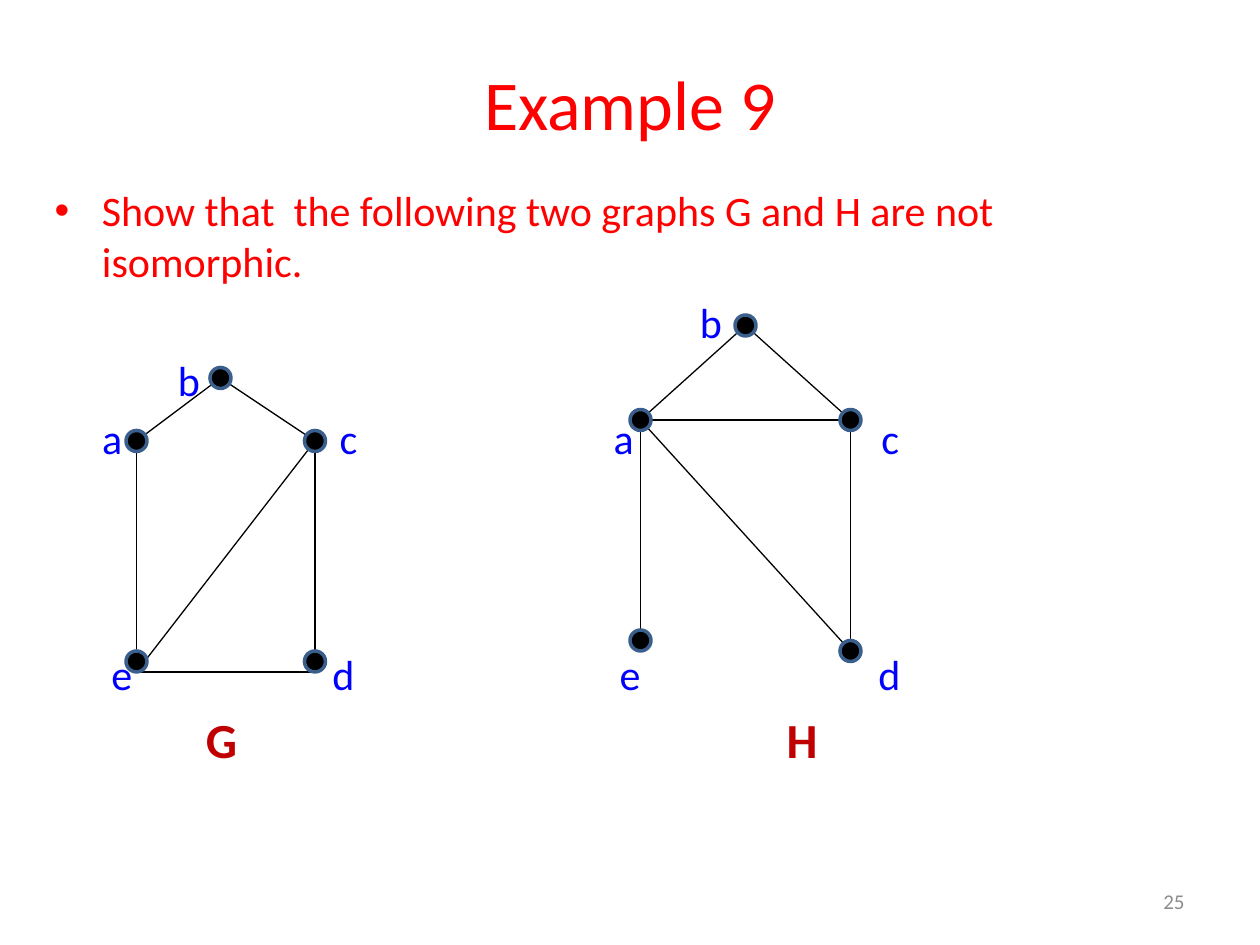
import dataclasses

import pptx
import pptx.dml.color
import pptx.enum.shapes
import pptx.enum.text
import pptx.oxml
import pptx.oxml.ns
import pptx.util

ALIGN = pptx.enum.text.PP_ALIGN


@dataclasses.dataclass
class Theme:
    font: str = "Calibri"
    red: str = "FF0000"
    blue: str = "0000FF"
    dark_red: str = "C00000"
    grey: str = "8C8C8C"
    black: str = "000000"
    rim: str = "3A5F8C"
    title_size: int = 40
    body_size: int = 24
    name_size: int = 28
    number_size: int = 12


class Page:
    """Slide on a grid of 120 columns by 90 rows, each cell 1/12 inch."""

    def __init__(self, deck, theme):
        self.theme = theme
        self.slide = deck.slides.add_slide(deck.slide_layouts[1])
        self.shapes = self.slide.shapes
        self.column = deck.slide_width / 120
        self.row = deck.slide_height / 90

    def place(self, left, top, width, height):
        return (round(left * self.column), round(top * self.row),
                round(width * self.column), round(height * self.row))

    def style(self, frame, size, colour, bold=False):
        for para in frame.paragraphs:
            for span in para.runs:
                span.font.name = self.theme.font
                span.font.size = pptx.util.Pt(size)
                span.font.bold = bold
                span.font.color.rgb = self.colour(colour)

    def colour(self, value):
        return pptx.dml.color.RGBColor.from_string(value)

    def fill_placeholder(self, box, text, area, size):
        box.left, box.top, box.width, box.height = self.place(*area)
        box.text_frame.text = text
        self.style(box.text_frame, size, self.theme.red)

    def title(self, text, area):
        self.fill_placeholder(self.shapes.title, text, area, self.theme.title_size)

    def body(self, text, area):
        self.fill_placeholder(self.slide.placeholders[1], text, area, self.theme.body_size)

    def text(self, text, area, size, colour, align=ALIGN.CENTER, bold=False):
        frame = self.shapes.add_textbox(*self.place(*area)).text_frame
        frame.word_wrap = True
        frame.vertical_anchor = pptx.enum.text.MSO_ANCHOR.MIDDLE
        frame.text = text
        frame.paragraphs[0].alignment = align
        self.style(frame, size, colour, bold)

    def label(self, text, x, y, size, colour, bold=False):
        self.text(text, (x - 3, y - 3, 6, 6), size, colour, bold=bold)

    def edge(self, start, end):
        x1, y1, x2, y2 = self.place(*start, *end)
        line = self.shapes.add_connector(pptx.enum.shapes.MSO_CONNECTOR.STRAIGHT, x1, y1, x2, y2)
        line.line.width = pptx.util.Pt(0.75)
        line.line.color.rgb = self.colour(self.theme.black)
        line._element.spPr.append(pptx.oxml.parse_xml(
            "<a:effectLst %s/>" % pptx.oxml.ns.nsdecls("a")))

    def vertex(self, x, y):
        dot = self.shapes.add_shape(pptx.enum.shapes.MSO_SHAPE.FLOWCHART_CONNECTOR,
                                    *self.place(x - 1, y - 1, 2, 2))
        dot.shadow.inherit = False
        dot.fill.solid()
        dot.fill.fore_color.rgb = self.colour(self.theme.black)
        dot.line.color.rgb = self.colour(self.theme.rim)
        dot.line.width = pptx.util.Pt(2)

    def graph(self, name, name_x, vertices, edges, ends):
        """Draw edges first; ends holds edge end points off a vertex centre."""
        theme = self.theme
        points = {key: centre for key, (centre, _) in vertices.items()} | ends
        for start, end in edges.split():
            self.edge(points[start], points[end])
        for key, (centre, label_x) in vertices.items():
            self.vertex(*centre)
            self.label(key, label_x, LABEL_ROWS[name][key], theme.body_size, theme.blue)
        self.label(name, name_x, 70.4, theme.name_size, theme.dark_red, bold=True)


# Text rows shared by the labels of both graphs
SIDES = {"a": 41.7, "c": 41.7, "d": 64.2, "e": 64.2}
LABEL_ROWS = {"G": SIDES | {"b": 36.2}, "H": SIDES | {"b": 30.6}}


def main():
    deck = pptx.Presentation()
    deck.slide_width, deck.slide_height = pptx.util.Inches(10), pptx.util.Inches(7.5)
    theme = Theme()
    page = Page(deck, theme)

    # Heading and task
    page.title("Example 9", (6, 3.6, 108, 12.4))
    page.body("Show that  the following two graphs G and H are not isomorphic.",
              (4, 17, 110, 63.4))

    # Graphs: vertex centre and label column
    page.graph("G", 21.1, {
        "a": ((13, 42), 10.7),
        "b": ((21, 36), 18),
        "c": ((30, 42), 33.2),
        "d": ((30, 63), 32.7),
        "e": ((13, 63), 11.6),
    }, "ae cd ba bc de ce", {"d": (30, 64), "e": (13, 64)})
    page.graph("H", 76.4, {
        "a": ((61, 40), 59.4),
        "b": ((71, 31), 67.7),
        "c": ((81, 40), 84.8),
        "d": ((81, 62), 84.7),
        "e": ((61, 61), 60),
    }, "cd ae ad ac bc ba", {"e": (61, 62)})

    # Page number
    page.text("25", (86, 83.4, 28, 4.8), theme.number_size, theme.grey, ALIGN.RIGHT)

    deck.save("out.pptx")


if __name__ == "__main__":
    main()
